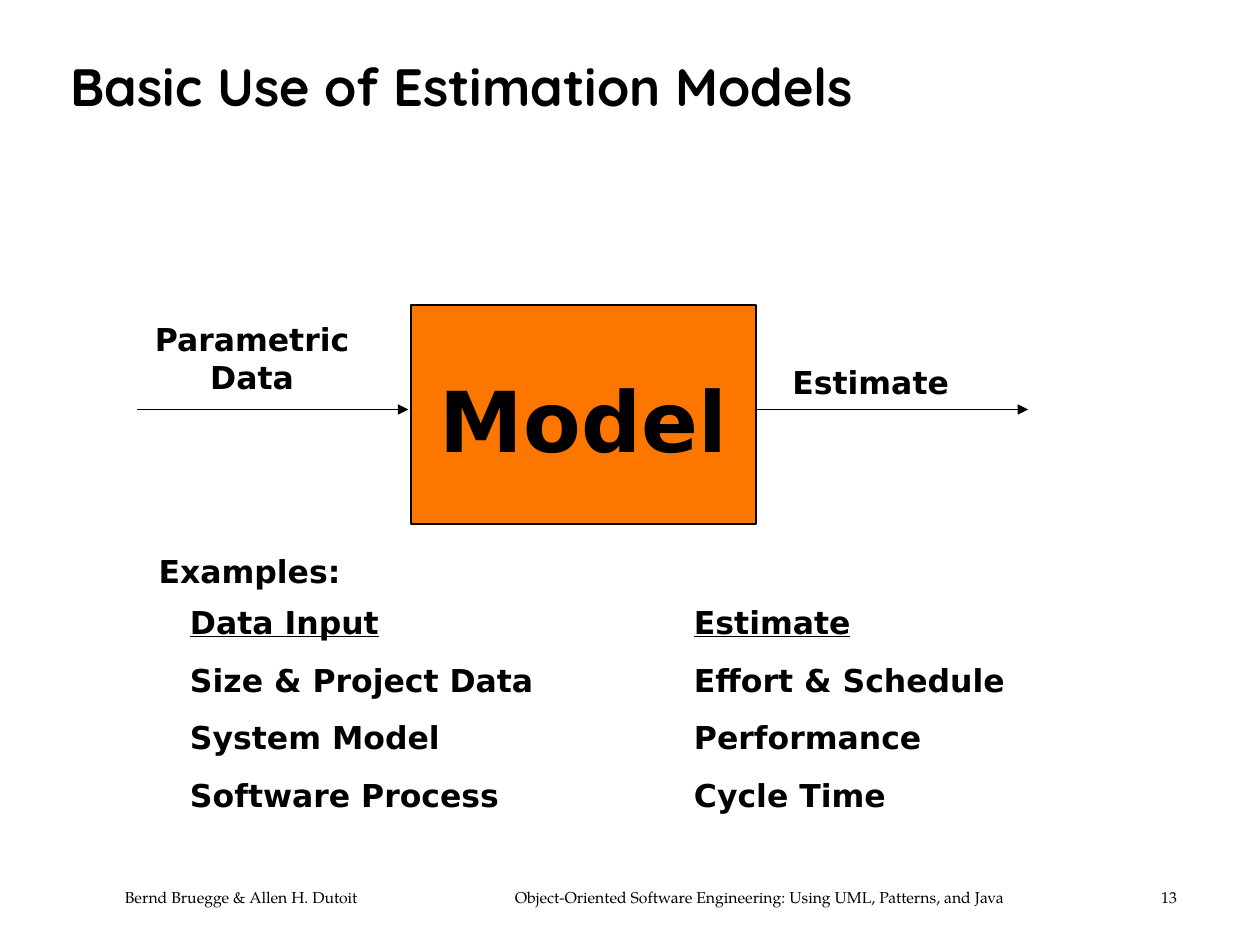
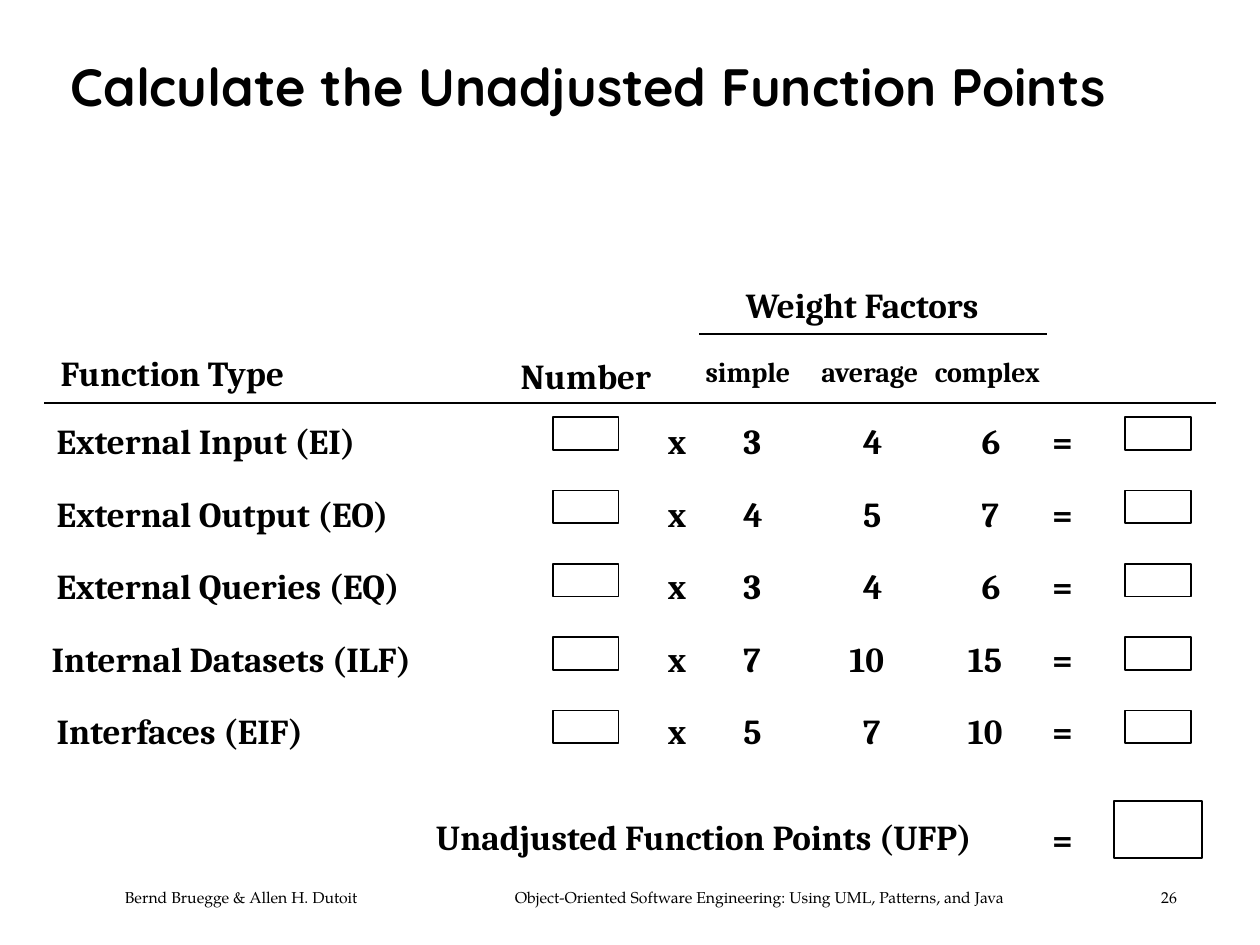
"""Build two slides on software estimation: the estimation model and the function point worksheet."""

from dataclasses import dataclass

from lxml.etree import SubElement
from pptx import Presentation
from pptx.dml.color import RGBColor
from pptx.enum.shapes import MSO_CONNECTOR, MSO_SHAPE
from pptx.enum.text import MSO_ANCHOR, MSO_AUTO_SIZE, PP_ALIGN
from pptx.oxml.ns import qn
from pptx.util import Pt


@dataclass(frozen=True)
class Theme:
    ink: RGBColor = RGBColor(0, 0, 0)
    paper: RGBColor = RGBColor(255, 255, 255)
    accent: RGBColor = RGBColor(0xFD, 0x77, 0x00)
    title_font: str = "Quicksand"
    diagram_font: str = "DejaVu Sans"
    sheet_font: str = "Cambria"
    footer_font: str = "TeX Gyre Pagella"
    title_size: int = 30
    model_size: int = 48
    diagram_size: int = 18
    sheet_size: int = 20
    weight_size: int = 16
    footer_size: int = 9
    line_width: int = 1


theme = Theme()


def write_text(box, text, *, font, size, bold=True, align=PP_ALIGN.LEFT, anchor=MSO_ANCHOR.TOP,
               inset=(7.2, 3.6, 7.2, 3.6), wrap=True, fit=MSO_AUTO_SIZE.NONE, leading=None,
               gap=0, tabs=(), underline_head=False):
    frame = box.text_frame
    frame.word_wrap = wrap
    frame.auto_size = fit
    frame.vertical_anchor = anchor
    frame.margin_left, frame.margin_top, frame.margin_right, frame.margin_bottom = map(Pt, inset)
    for row, line in enumerate(text.split("\n")):
        para = frame.add_paragraph() if row else frame.paragraphs[0]
        para.alignment = align
        if leading:
            para.line_spacing = leading
        if row and gap:
            para.space_before = Pt(gap)
        if tabs:
            tab_list = SubElement(para._p.get_or_add_pPr(), qn("a:tabLst"))
            for position, side in tabs:
                SubElement(tab_list, qn("a:tab"), pos=str(Pt(position)), algn=side)
        for column, cell in enumerate(line.split("\t")):
            for piece in ("\t", cell) if column else (cell,):
                span = para.add_run()
                span.text = piece
                span.font.name = font
                span.font.size = Pt(size)
                span.font.bold = bold
                span.font.color.rgb = theme.ink
                if underline_head and row == 0 and piece != "\t":
                    span.font.underline = True


def add_line(page, left, right, height, arrow=False):
    line = page.shapes.add_connector(MSO_CONNECTOR.STRAIGHT, Pt(left), Pt(height), Pt(right), Pt(height))
    line.line.color.rgb = theme.ink
    line.line.width = Pt(theme.line_width)
    if arrow:
        SubElement(line.line._get_or_add_ln(), qn("a:tailEnd"), type="triangle")
    SubElement(line._element.spPr, qn("a:effectLst"))


deck = Presentation()
deck.slide_width, deck.slide_height = Pt(720), Pt(540)

pages = []
for title, number in (("Basic Use of Estimation Models", 13), ("Calculate the Unadjusted Function Points", 26)):
    page = deck.slides.add_slide(deck.slide_layouts.get_by_name("Title Only"))
    heading = page.shapes.title
    heading.left, heading.top, heading.width, heading.height = Pt(33.1), Pt(17.3), Pt(642.2), Pt(67.7)
    write_text(heading, title, font=theme.title_font, size=theme.title_size,
               anchor=MSO_ANCHOR.MIDDLE, leading=0.9)
    footer = page.shapes.add_textbox(Pt(41.8), Pt(504), Pt(660.2), Pt(18))
    write_text(footer, "Bernd Bruegge & Allen H. Dutoit\tObject-Oriented Software Engineering: "
               f"Using UML, Patterns, and Java\t{number}",
               font=theme.footer_font, size=theme.footer_size, bold=False,
               inset=(29.6, 3.6, 7.2, 3.6), tabs=((222.8, "l"), (601.2, "r")))
    pages.append(page)
model_page, points_page = pages

model = model_page.shapes.add_shape(MSO_SHAPE.RECTANGLE, Pt(234.7), Pt(174.2), Pt(197.3), Pt(125.3))
model.shadow.inherit = False
model.fill.solid()
model.fill.fore_color.rgb = theme.accent
model.line.color.rgb = theme.ink
model.line.width = Pt(theme.line_width)
write_text(model, "Model", font=theme.diagram_font, size=theme.model_size, align=PP_ALIGN.CENTER,
           anchor=MSO_ANCHOR.MIDDLE, inset=(7.2, 9, 7.2, 3.6), wrap=False)

for left in (78.5, 432.7):
    add_line(model_page, left, left + 154.8, 234, arrow=True)

for text, left, top, width, height, align in (
    ("Parametric Data", 77.8, 179.3, 132.5, 50.4, PP_ALIGN.CENTER),
    ("Estimate", 431.3, 203.8, 132.5, 28.8, PP_ALIGN.CENTER),
    ("Examples:", 83.5, 311.8, 186.5, 28.8, PP_ALIGN.LEFT),
):
    label = model_page.shapes.add_textbox(Pt(left), Pt(top), Pt(width), Pt(height))
    write_text(label, text, font=theme.diagram_font, size=theme.diagram_size, align=align)

examples = model_page.shapes.add_textbox(Pt(101.5), Pt(341.3), Pt(486.7), Pt(127.4))
write_text(examples, "Data Input\tEstimate\nSize & Project Data\tEffort & Schedule\n"
           "System Model\tPerformance\nSoftware Process\tCycle Time",
           font=theme.diagram_font, size=theme.diagram_size, gap=11.2,
           tabs=((288, "l"),), underline_head=True)

sheet_texts = [
    ("Weight Factors", 426.2, 162, 150.5, theme.sheet_size),
    ("Function Type", 34.6, 200.9, 141.1, theme.sheet_size),
    ("simple", 403.2, 202.3, 53.3, theme.weight_size),
    ("average", 469.4, 202.3, 64.8, theme.weight_size),
    ("complex", 534.2, 202.3, 67.7, theme.weight_size),
    ("Unadjusted Function Points (UFP)", 249.1, 465.8, 339.1, theme.sheet_size),
    ("=", 601.2, 467.3, 11.5, theme.sheet_size),
]
answer_boxes = [(636.5, 457.9, 50.4, 32.4)]

function_types = (
    ("External Input (EI)", 32.4, 182.2, (3, 4, 6)),
    ("External Output (EO)", 32.4, 207.4, (4, 5, 7)),
    ("External Queries (EQ)", 32.4, 213.1, (3, 4, 6)),
    ("Internal Datasets (ILF)", 29.5, 224.6, (7, 10, 15)),
    ("Interfaces (EIF)", 32.4, 151.2, (5, 7, 10)),
)
for row, (name, name_left, name_width, weights) in enumerate(function_types):
    text_top = 239.8 + 41.4 * row
    sheet_texts.append((name, name_left, text_top, name_width, theme.sheet_size))
    for symbol, left in zip(("x", *weights, "="), (381.6, 424.8, 493.2, 560.9, 601.2)):
        extra_digits = len(str(symbol)) - 1
        sheet_texts.append((str(symbol), left - 7.9 * extra_digits, text_top,
                            11.5 * (extra_digits + 1), theme.sheet_size))
    for left in (316.1, 643):
        answer_boxes.append((left, 238.3 + 41.95 * row, 37.4, 18.7))

for text, left, top, width, size in sheet_texts:
    entry = points_page.shapes.add_textbox(Pt(left), Pt(top), Pt(width), Pt(size * 1.2))
    write_text(entry, text, font=theme.sheet_font, size=size, inset=(0, 0, 0, 0),
               wrap=False, fit=MSO_AUTO_SIZE.SHAPE_TO_FIT_TEXT)

number_label = points_page.shapes.add_textbox(Pt(292.3), Pt(202.3), Pt(85), Pt(24))
write_text(number_label, "Number", font=theme.sheet_font, size=theme.sheet_size,
           align=PP_ALIGN.CENTER, inset=(0, 0, 0, 0))

for left, top, width, height in answer_boxes:
    answer = points_page.shapes.add_shape(MSO_SHAPE.RECTANGLE, Pt(left), Pt(top), Pt(width), Pt(height))
    answer.shadow.inherit = False
    answer.fill.solid()
    answer.fill.fore_color.rgb = theme.paper
    answer.line.color.rgb = theme.ink
    answer.line.width = Pt(theme.line_width)

add_line(points_page, 25.2, 694.8, 230.4)
add_line(points_page, 399.6, 598.3, 190.8)

deck.save("out.pptx")
